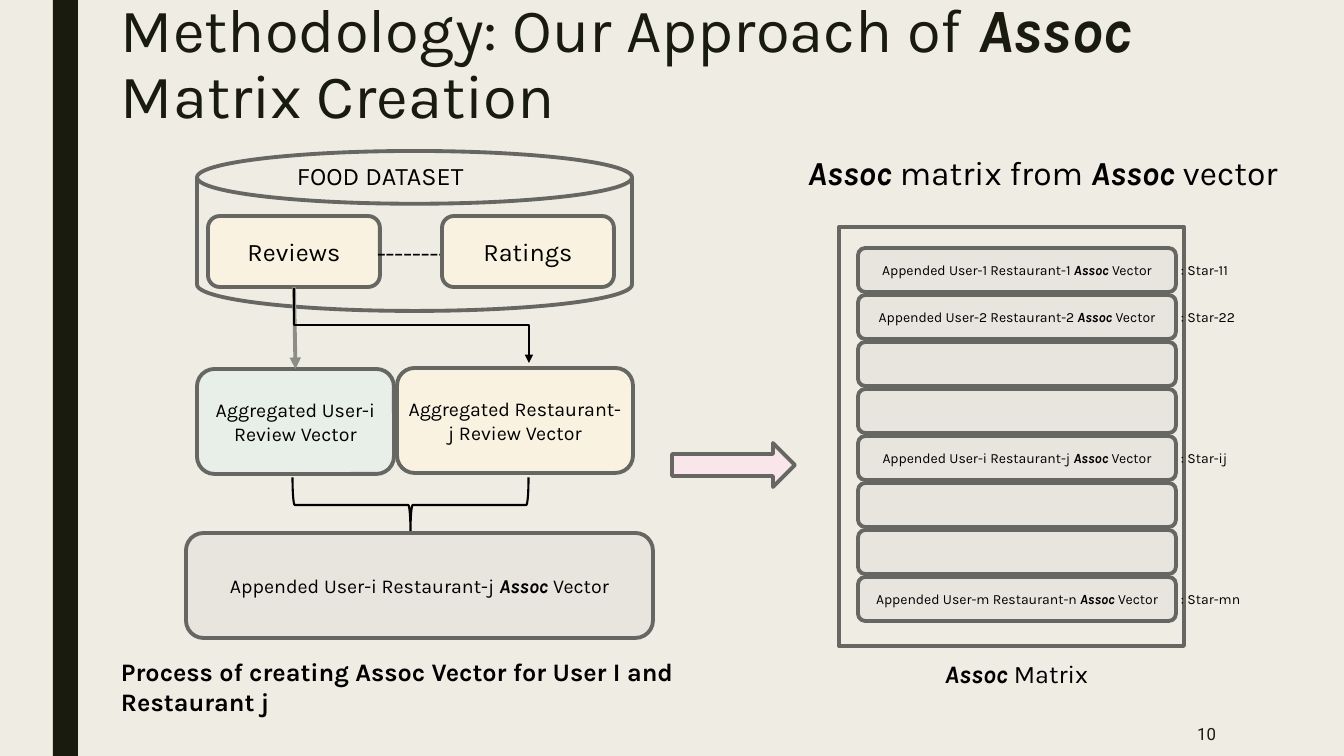
from dataclasses import dataclass

import pptx
import pptx.util
from lxml import etree
from pptx.dml.color import RGBColor
from pptx.enum.shapes import MSO_CONNECTOR, MSO_SHAPE
from pptx.enum.text import MSO_ANCHOR, PP_ALIGN
from pptx.oxml.ns import qn

EMU_PER_PX = 914400 / 100.8


@dataclass(frozen=True)
class Theme:
    background: str = "EFEDE3"
    dark: str = "191B0E"
    black: str = "000000"
    outline: str = "666762"
    arrow_grey: str = "8C8D86"
    green: str = "E8EEE8"
    cream: str = "FAF2E1"
    grey: str = "E8E5DF"
    pink: str = "F9E6EA"
    font: str = "Karla"
    number_font: str = "Roboto"
    title_size: int = 44
    heading_size: int = 24
    label_size: int = 18
    vector_size: int = 14
    number_size: int = 12
    row_size: int = 10
    thick: float = 2.75
    thin: float = 1.5


THEME = Theme()


@dataclass(frozen=True)
class Area:
    left: int
    top: int
    width: int
    height: int

    def emu(self) -> list[pptx.util.Emu]:
        return [px(n) for n in (self.left, self.top, self.width, self.height)]


@dataclass(frozen=True)
class Block:
    area: Area
    fill: str | None = None
    text: str = ""
    size: int = THEME.label_size
    kind: MSO_SHAPE = MSO_SHAPE.ROUNDED_RECTANGLE


@dataclass(frozen=True)
class Label:
    area: Area
    text: str
    size: int = THEME.label_size
    color: str = THEME.black
    font: str = THEME.font
    bold: bool = False
    align: PP_ALIGN = PP_ALIGN.LEFT
    spacing: float = 1.0


@dataclass(frozen=True)
class MatrixRow:
    pair: str = ""
    star: str = ""


def px(length: float) -> pptx.util.Emu:
    return pptx.util.Emu(round(length * EMU_PER_PX))


def write(frame, label: Label) -> None:
    """Fill a text frame; words between asterisks become bold italic."""
    frame.word_wrap = True
    frame.margin_left = frame.margin_right = px(5)
    frame.margin_top = frame.margin_bottom = px(5)
    paragraph = frame.paragraphs[0]
    paragraph.alignment = label.align
    paragraph.line_spacing = label.spacing
    paragraph.font.name = label.font
    paragraph.font.size = pptx.util.Pt(label.size)
    paragraph.font.bold = label.bold
    paragraph.font.color.rgb = RGBColor.from_string(label.color)
    for index, part in enumerate(label.text.split("*")):
        if part:
            run = paragraph.add_run()
            run.text = part
            if index % 2:
                run.font.bold = run.font.italic = True


def add_label(slide, label: Label) -> None:
    write(slide.shapes.add_textbox(*label.area.emu()).text_frame, label)


def set_line(shape, color: str, width: float, arrow: bool = False) -> None:
    shape.line.color.rgb = RGBColor.from_string(color)
    shape.line.width = pptx.util.Pt(width)
    if arrow:
        outline = shape._element.spPr.find(qn("a:ln"))
        etree.SubElement(outline, qn("a:tailEnd"), type="triangle")


def add_block(slide, block: Block):
    shape = slide.shapes.add_shape(block.kind, *block.area.emu())
    shape.shadow.inherit = False
    if block.fill:
        shape.fill.solid()
        shape.fill.fore_color.rgb = RGBColor.from_string(block.fill)
    else:
        shape.fill.background()
    set_line(shape, THEME.outline, THEME.thick)
    if block.text:
        shape.text_frame.vertical_anchor = MSO_ANCHOR.MIDDLE
        write(shape.text_frame,
              Label(block.area, block.text, block.size, align=PP_ALIGN.CENTER))
    return shape


def add_matrix(slide) -> None:
    add_block(slide, Block(Area(839, 227, 345, 419), kind=MSO_SHAPE.RECTANGLE))
    rows = [
        MatrixRow("User-1 Restaurant-1", "Star-11"),
        MatrixRow("User-2 Restaurant-2", "Star-22"),
        MatrixRow(),
        MatrixRow(),
        MatrixRow("User-i Restaurant-j", "Star-ij"),
        MatrixRow(),
        MatrixRow(),
        MatrixRow("User-m Restaurant-n", "Star-mn"),
    ]
    for index, row in enumerate(rows):
        top = 248 + 47 * index
        text = f"Appended {row.pair} *Assoc* Vector" if row.pair else ""
        add_block(slide, Block(Area(858, top, 318, 44), THEME.grey, text, THEME.row_size))
        if row.star:
            add_label(slide, Label(Area(1176, top + 8, 132, 26), f": {row.star}", THEME.row_size))


def add_vector_process(slide) -> None:
    user_vector = add_block(slide, Block(
        Area(197, 369, 197, 105), THEME.green,
        "Aggregated User-i Review Vector", THEME.vector_size))
    add_block(slide, Block(
        Area(397, 368, 236, 105), THEME.cream,
        "Aggregated Restaurant-j Review Vector", THEME.vector_size))

    brace = add_block(slide, Block(Area(383, 387, 55, 236), kind=MSO_SHAPE.LEFT_BRACE))
    brace.rotation = 270
    brace.adjustments[0] = 0.04
    set_line(brace, THEME.black, THEME.thin)

    add_block(slide, Block(
        Area(186, 533, 467, 105), THEME.grey,
        "Appended User-i Restaurant-j *Assoc* Vector", THEME.vector_size))

    reviews = add_block(slide, Block(Area(208, 216, 172, 71), THEME.cream, "Reviews"))
    add_label(slide, Label(Area(372, 232, 151, 40), "----------"))
    add_block(slide, Block(Area(442, 216, 172, 71), THEME.cream, "Ratings"))
    dataset = add_block(slide, Block(Area(197, 151, 435, 160), kind=MSO_SHAPE.CAN))
    dataset.adjustments[0] = 0.33
    add_label(slide, Label(Area(292, 155, 302, 40), "FOOD DATASET"))

    user_arrow = slide.shapes.add_connector(MSO_CONNECTOR.STRAIGHT, 0, 0, 0, 0)
    user_arrow.begin_connect(reviews, 2)
    user_arrow.end_connect(user_vector, 0)
    set_line(user_arrow, THEME.arrow_grey, THEME.thick, arrow=True)
    etree.SubElement(user_arrow._element.spPr, qn("a:effectLst"))

    bend = slide.shapes.build_freeform(294, 288, scale=EMU_PER_PX)
    bend.add_line_segments([(294, 325), (529, 325), (529, 363)], close=False)
    restaurant_arrow = bend.convert_to_shape()
    restaurant_arrow.shadow.inherit = False
    restaurant_arrow.fill.background()
    set_line(restaurant_arrow, THEME.black, THEME.thin, arrow=True)


def main() -> None:
    deck = pptx.Presentation()
    deck.slide_width, deck.slide_height = px(1344), px(756)
    slide = deck.slides.add_slide(deck.slide_layouts[6])
    slide.background.fill.solid()
    slide.background.fill.fore_color.rgb = RGBColor.from_string(THEME.background)

    side_bar = add_block(slide, Block(Area(53, 0, 25, 756), THEME.dark, kind=MSO_SHAPE.RECTANGLE))
    side_bar.line.fill.background()
    add_matrix(slide)
    add_vector_process(slide)
    add_block(slide, Block(Area(672, 443, 123, 44), THEME.pink, kind=MSO_SHAPE.RIGHT_ARROW))

    labels = [
        Label(Area(116, -5, 1198, 161), "Methodology: Our Approach of *Assoc* Matrix Creation",
              THEME.title_size, THEME.dark, spacing=0.89),
        Label(Area(803, 147, 552, 49), "*Assoc* matrix from *Assoc* vector", THEME.heading_size),
        Label(Area(940, 653, 222, 41), "*Assoc* Matrix"),
        Label(Area(116, 651, 647, 70),
              "Process of creating Assoc Vector for User I and Restaurant j", bold=True),
        Label(Area(1180, 719, 41, 29), "10", THEME.number_size, THEME.dark,
              THEME.number_font, align=PP_ALIGN.RIGHT),
    ]
    for label in labels:
        add_label(slide, label)
    deck.save("out.pptx")


if __name__ == "__main__":
    main()
